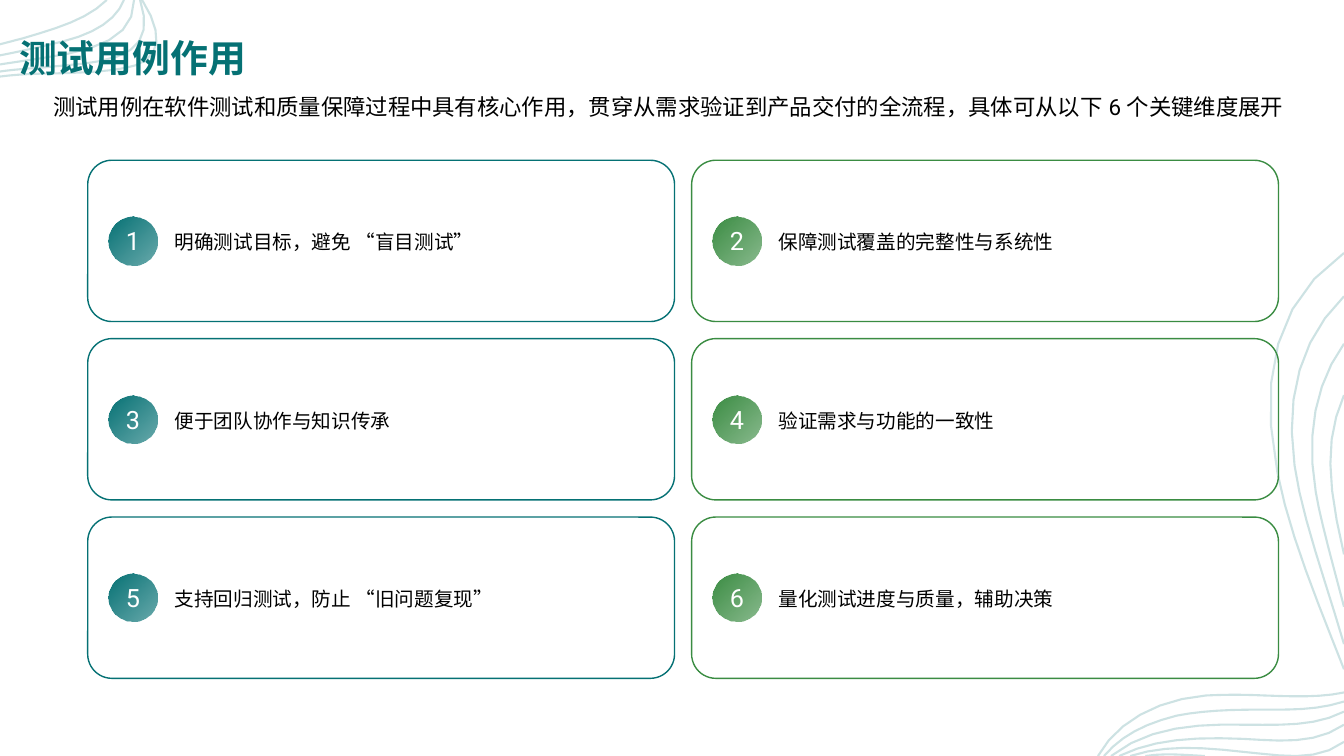
from pptx import Presentation
from pptx.dml.color import RGBColor
from pptx.enum.shapes import MSO_SHAPE as SHAPE
from pptx.enum.text import MSO_ANCHOR as ANCHOR, PP_ALIGN as ALIGN
from pptx.oxml.ns import qn
from pptx.util import Inches, Pt
from lxml import etree

TITLE = "测试用例作用"
INTRO = ("测试用例在软件测试和质量保障过程中具有核心作用，"
         "贯穿从需求验证到产品交付的全流程，具体可从以下 6 个关键维度展开")
ROLES = [
    "明确测试目标，避免 “盲目测试”",
    "保障测试覆盖的完整性与系统性",
    "便于团队协作与知识传承",
    "验证需求与功能的一致性",
    "支持回归测试，防止 “旧问题复现”",
    "量化测试进度与质量，辅助决策",
]
TEAL, GREEN, WHITE, BLACK = "057174", "3A8C42", "FFFFFF", "000000"
CJK, LATIN = "Noto Sans CJK SC", "Roboto"

TOP_WAVES = [
    "0 .44  .08 .42 .15 .4 .23 .38  .57 .28 .87 .19 1.06 0",
    "0 .76  .16 .74 .34 .73 .52 .73  .86 .72 1.14 .71 1.34 .65  1.6 .57 1.62 .33 1.41 0",
    "0 .71  .14 .69 .29 .68 .43 .67  .62 .65 .8 .64 .97 .61  1.4 .54 1.5 .34 1.39 0",
    "0 .64  .13 .62 .26 .6 .4 .58  .98 .5 1.33 .37 1.33 0",
    "0 .55  .21 .51 .42 .46 .63 .41  .95 .33 1.16 .19 1.23 0",
]
SIDE_WAVES = [
    "13.33 3.92  13.14 4.35 13.16 4.78 13.33 5.5",
    "13.33 3.41  13.05 3.8 12.95 4.3 13.05 4.88  13.1 5.18 13.23 5.63 13.33 6.02",
    "13.33 2.94  12.91 3.35 12.74 3.92 12.84 4.62  12.91 5.12 13.15 5.77 13.33 6.39",
    "13.33 2.51  12.66 2.98 12.48 3.72 12.67 4.69  12.79 5.31 13.08 6 13.33 6.64",
    "13.33 6.87  13.1 6.92 12.82 6.91 12.54 6.9  12.34 6.89 12.15 6.89 11.96 6.9 "
    "11.47 6.94 11.07 7.17 10.89 7.5",
    "13.33 6.96  13.05 7.05 12.78 7.04 12.49 7.04  12.2 7.04 11.92 7.05 11.67 7.1 "
    "11.35 7.18 11.12 7.3 10.95 7.5",
    "13.33 7.06  13.04 7.21 12.7 7.19 12.35 7.19  11.9 7.18 11.4 7.2 11.02 7.5",
    "13.33 7.19  13.04 7.39 12.69 7.35 12.33 7.33  11.85 7.31 11.45 7.33 11.1 7.5",
    "13.33 7.36  13.05 7.57 12.68 7.49 12.34 7.46  11.9 7.41 11.55 7.39 11.21 7.5",
    "11.36 7.5  11.55 7.47 11.75 7.49 11.95 7.5",
]
CURVE_STEPS = 6
CARD_LEFT, CARD_TOP, CARD_W, CARD_H = 0.87, 1.59, 5.82, 1.6
COL_STEP, ROW_STEP = 5.99, 1.77
BADGE_DX, BADGE_SIZE = 0.21, 0.48


def rgb(value):
    return RGBColor.from_string(value)


def set_alpha(sp, percent):
    color = list(sp._element.spPr.iter(qn("a:srgbClr")))[-1]
    etree.SubElement(color, qn("a:alpha")).set("val", str(percent * 1000))


def trace(wave):
    nums = [float(n) for n in wave.split()]
    knots = list(zip(nums[::2], nums[1::2]))
    points = knots[:1]
    for start in range(0, len(knots) - 1, 3):
        curve = knots[start:start + 4]
        for step in range(1, CURVE_STEPS + 1):
            t = step / CURVE_STEPS
            weights = ((1 - t) ** 3, 3 * t * (1 - t) ** 2, 3 * t * t * (1 - t), t ** 3)
            points.append(tuple(sum(w * k[i] for w, k in zip(weights, curve)) for i in (0, 1)))
    return [(Inches(x), Inches(y)) for x, y in points]


def add_waves(waves):
    strands = [trace(wave) for wave in waves]
    builder = shapes.build_freeform(*strands[0][0], scale=1.0)
    for i, strand in enumerate(strands):
        if i:
            builder.move_to(*strand[0])
        builder.add_line_segments(strand[1:], close=False)
    sp = builder.convert_to_shape()
    sp.shadow.inherit = False
    sp.fill.background()
    sp.line.color.rgb = rgb(TEAL)
    sp.line.width = Pt(1.5)
    set_alpha(sp, 20)


def write(sp, text, size, color, font=LATIN, bold=False, anchor=ANCHOR.MIDDLE,
          align=ALIGN.LEFT, insets=None, wrap=True, spacing=None):
    tf = sp.text_frame
    tf.word_wrap, tf.vertical_anchor = wrap, anchor
    if insets:
        tf.margin_left, tf.margin_top, tf.margin_right, tf.margin_bottom = map(Inches, insets)
    p = tf.paragraphs[0]
    p.alignment, p.line_spacing = align, spacing
    r = p.add_run()
    r.text = text
    r.font.name, r.font.size, r.font.bold = font, Pt(size), bold
    r.font.color.rgb = rgb(color)
    etree.SubElement(r.font._element, qn("a:ea")).set("typeface", CJK)


def add_box(kind, *bounds):
    sp = shapes.add_shape(kind, *map(Inches, bounds))
    sp.shadow.inherit = False
    return sp


def add_role(index, text):
    row, col = divmod(index, 2)
    color = (TEAL, GREEN)[col]
    x, y = CARD_LEFT + col * COL_STEP, CARD_TOP + row * ROW_STEP
    card = add_box(SHAPE.ROUNDED_RECTANGLE, x, y, CARD_W, CARD_H)
    card.adjustments[0] = 0.15
    card.fill.solid()
    card.fill.fore_color.rgb = rgb(WHITE)
    set_alpha(card, 10)
    card.line.color.rgb = rgb(color)
    card.line.width = Pt(1)
    write(card, text, 14, BLACK, insets=(0.79, 0, 0.2, 0.05), spacing=1.3)

    badge = add_box(SHAPE.OVAL, x + BADGE_DX, y + (CARD_H - BADGE_SIZE) / 2,
                    BADGE_SIZE, BADGE_SIZE)
    badge.line.fill.background()
    badge.fill.gradient()
    badge.fill.gradient_angle = 315
    for stop in badge.fill.gradient_stops:
        stop.color.rgb = rgb(color)
    set_alpha(badge, 59)
    write(badge, str(index + 1), 18, WHITE, align=ALIGN.CENTER, wrap=False)


prs = Presentation()
prs.slide_width, prs.slide_height = Inches(13.33), Inches(7.5)
shapes = prs.slides.add_slide(prs.slide_layouts[6]).shapes
add_waves(TOP_WAVES)
add_waves(SIDE_WAVES)
title = shapes.add_textbox(Inches(0.19), Inches(0), Inches(11.81), Inches(0.79))
write(title, TITLE, 27, TEAL, CJK, True, ANCHOR.BOTTOM, insets=(0, 0, 0, 0))
for index, text in enumerate(ROLES):
    add_role(index, text)
intro = shapes.add_textbox(Inches(0.43), Inches(0.87), Inches(12.5), Inches(0.46))
write(intro, INTRO, 16, BLACK, anchor=ANCHOR.TOP)
prs.save("out.pptx")
